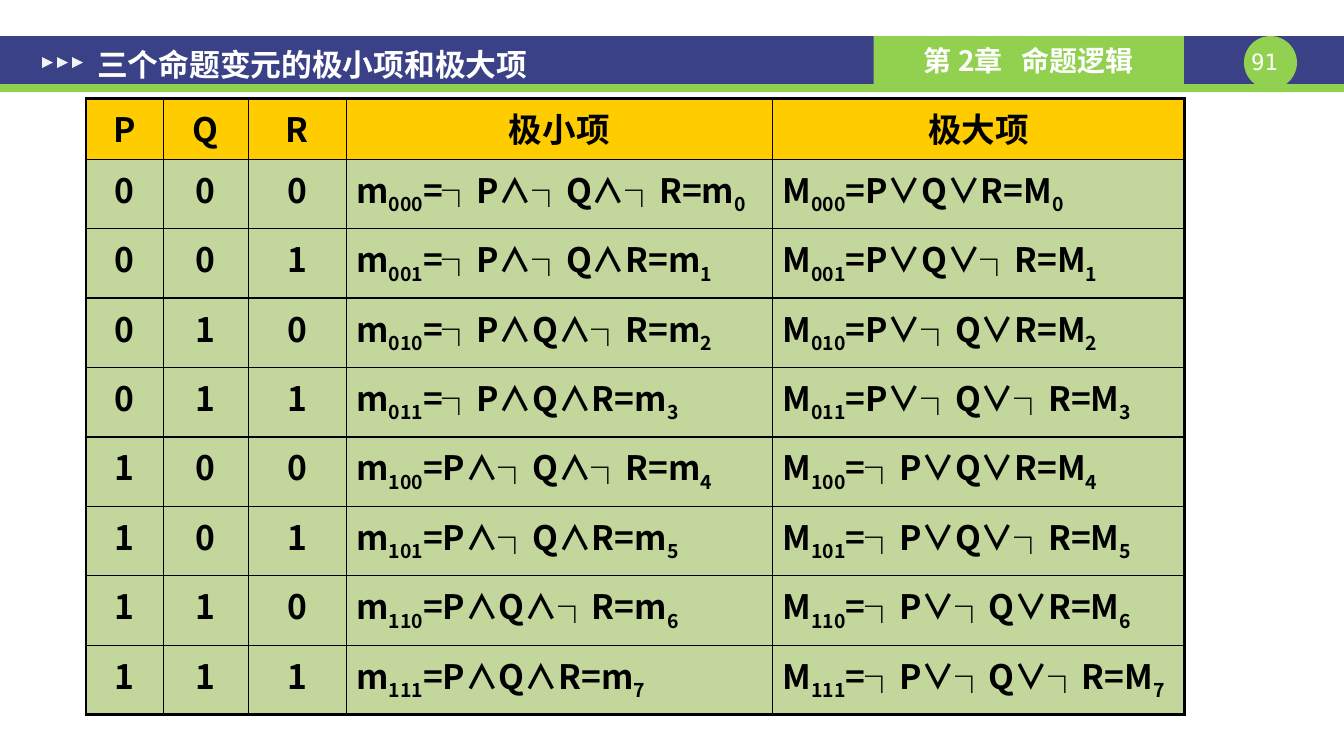
from itertools import product

from lxml import etree
from pptx import Presentation
from pptx.dml.color import RGBColor
from pptx.enum.shapes import MSO_SHAPE
from pptx.enum.text import MSO_ANCHOR, MSO_AUTO_SIZE, PP_ALIGN
from pptx.oxml.ns import qn
from pptx.util import Pt

RECT, OVAL, TRIANGLE = MSO_SHAPE.RECTANGLE, MSO_SHAPE.OVAL, MSO_SHAPE.ISOSCELES_TRIANGLE
LEFT, CENTER, JUSTIFY = PP_ALIGN.LEFT, PP_ALIGN.CENTER, PP_ALIGN.JUSTIFY
MIDDLE = MSO_ANCHOR.MIDDLE
NO_AUTOFIT = MSO_AUTO_SIZE.NONE

TITLE = "三个命题变元的极小项和极大项"
CHAPTER = ("第 2章", "命题逻辑")
PAGE = "91"
VARIABLES = ("P", "Q", "R")
HEADINGS = (*VARIABLES, "极小项", "极大项")
TERM_KINDS = (("m", "∧", "0"), ("M", "∨", "1"))
ASSIGNMENTS = list(product("01", repeat=len(VARIABLES)))

CJK, MONO = "Noto Sans CJK SC", "DejaVu Sans Mono"
NAVY, GREEN, PALE = "3A4187", "92D050", "F2F2F2"
WHITE, BLACK, GOLD, SAGE = "FFFFFF", "000000", "FFCC00", "C3D69B"

SCALE = 9080
SLIDE = (1343, 755)
TABLE = (86, 98, 1098, 616)
COLUMNS = (77, 85, 98, 426, 412)
HEADER_HEIGHT = 61
INNER_LINE, OUTER_LINE = 1, 2.25


def px(*lengths):
    return [round(length * SCALE) for length in lengths]


def rgb(code):
    return RGBColor.from_string(code)


def style(paragraph, size, color, align, face=CJK, bold=True):
    paragraph.alignment = align
    font = paragraph.font
    font.size, font.bold, font.name = Pt(size), bold, face
    font.color.rgb = rgb(color)
    defaults = paragraph._p.pPr.find(qn("a:defRPr"))
    etree.SubElement(defaults, qn("a:ea")).set("typeface", face)


def set_insets(frame, horizontal, vertical):
    frame.margin_left, frame.margin_right = px(horizontal, horizontal)
    frame.margin_top, frame.margin_bottom = px(vertical, vertical)


def add_block(slide, preset, box, color):
    block = slide.shapes.add_shape(preset, *px(*box))
    block.shadow.inherit = False
    block.fill.solid()
    block.fill.fore_color.rgb = rgb(color)
    block.line.fill.background()
    return block


def add_header(slide):
    add_block(slide, RECT, (0, 36, SLIDE[0], 48), NAVY)
    add_block(slide, RECT, (0, 84, SLIDE[0], 8), GREEN)
    add_block(slide, OVAL, (1243, 36, 53, 53), GREEN)

    page = slide.shapes.add_textbox(*px(1237, 48, 53, 27)).text_frame
    page.word_wrap = True
    set_insets(page, 0, 0)
    page.text = PAGE
    style(page.paragraphs[0], 16, WHITE, CENTER, MONO, False)

    chapter = add_block(slide, RECT, (873, 36, 310, 48), GREEN).text_frame
    chapter.vertical_anchor = MIDDLE
    line = chapter.paragraphs[0]
    number, name = CHAPTER
    line.add_run().text = number
    gap = line.add_run()
    gap.text = " "
    gap._r.get_or_add_rPr().set("spc", "900")
    line.add_run().text = name
    style(line, 20, WHITE, CENTER)

    for step in range(3):
        marker = add_block(slide, TRIANGLE, (42 + 15 * step, 57, 11, 11), PALE)
        marker.rotation = 90

    title = slide.shapes.title
    title.left, title.top, title.width, title.height = px(84, 34, 888, 61)
    slide.shapes._spTree.append(title._element)
    frame = title.text_frame
    frame.text = TITLE
    frame.auto_size = NO_AUTOFIT
    frame.vertical_anchor = MIDDLE
    set_insets(frame, 13, 7)
    style(frame.paragraphs[0], 22, WHITE, LEFT)


def term_parts(bits, letter, operator, negated_bit):
    literals = [("┐" if bit == negated_bit else "") + variable
                for variable, bit in zip(VARIABLES, bits)]
    code = "".join(bits)
    return [letter, code, f"={operator.join(literals)}={letter}", str(int(code, 2))]


def fill_cell(cell, parts, align, color, edges):
    line = cell.text_frame.paragraphs[0]
    for index, part in enumerate(parts):
        run = line.add_run()
        run.text = part
        if index % 2:
            run._r.get_or_add_rPr().set("baseline", "-25000")
    style(line, 24, BLACK, align)
    properties = cell._tc.get_or_add_tcPr()
    for side, outer in edges.items():
        width = Pt(OUTER_LINE if outer else INNER_LINE)
        border = etree.SubElement(properties, qn(f"a:ln{side}"), w=str(width))
        solid = etree.SubElement(border, qn("a:solidFill"))
        etree.SubElement(solid, qn("a:srgbClr"), val=BLACK)
    cell.fill.solid()
    cell.fill.fore_color.rgb = rgb(color)


def add_truth_table(slide):
    rows = [[[heading] for heading in HEADINGS]]
    for bits in ASSIGNMENTS:
        rows.append([[bit] for bit in bits] + [term_parts(bits, *kind) for kind in TERM_KINDS])

    table = slide.shapes.add_table(len(rows), len(COLUMNS), *px(*TABLE)).table
    table.first_row = table.horz_banding = False
    for column, width in zip(table.columns, px(*COLUMNS)):
        column.width = width
    body_height = (TABLE[3] - HEADER_HEIGHT) / len(ASSIGNMENTS)
    heights = px(HEADER_HEIGHT, *[body_height] * len(ASSIGNMENTS))
    for row, height in zip(table.rows, heights):
        row.height = height

    for r, row in enumerate(rows):
        for c, parts in enumerate(row):
            edges = {"L": c == 0, "R": c == len(row) - 1, "T": r == 0, "B": r == len(rows) - 1}
            align = CENTER if len(parts) == 1 else JUSTIFY
            fill_cell(table.cell(r, c), parts, align, SAGE if r else GOLD, edges)


def main():
    deck = Presentation()
    deck.slide_width, deck.slide_height = px(*SLIDE)
    slide = deck.slides.add_slide(deck.slide_layouts[5])
    add_header(slide)
    add_truth_table(slide)
    deck.save("out.pptx")


if __name__ == "__main__":
    main()
